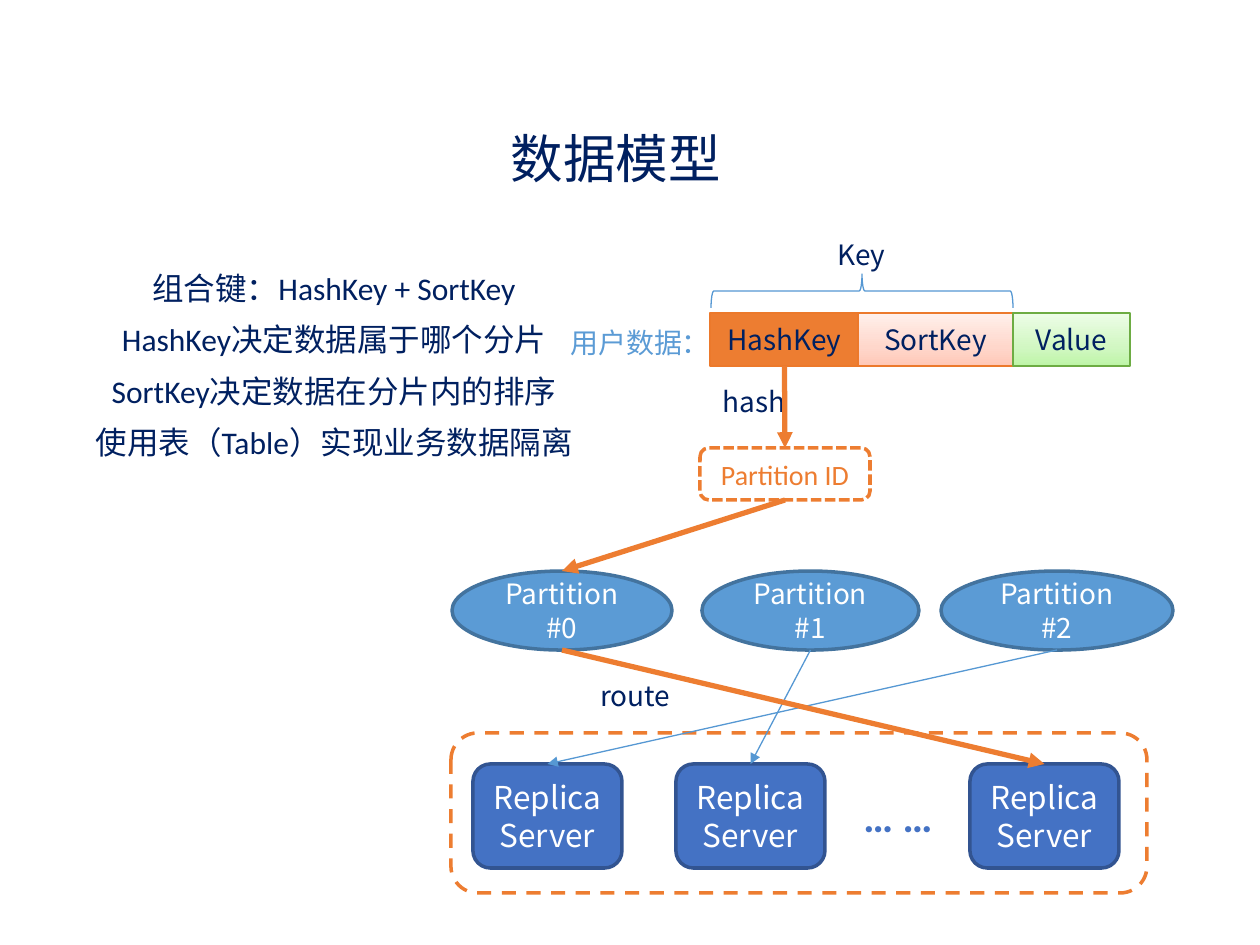
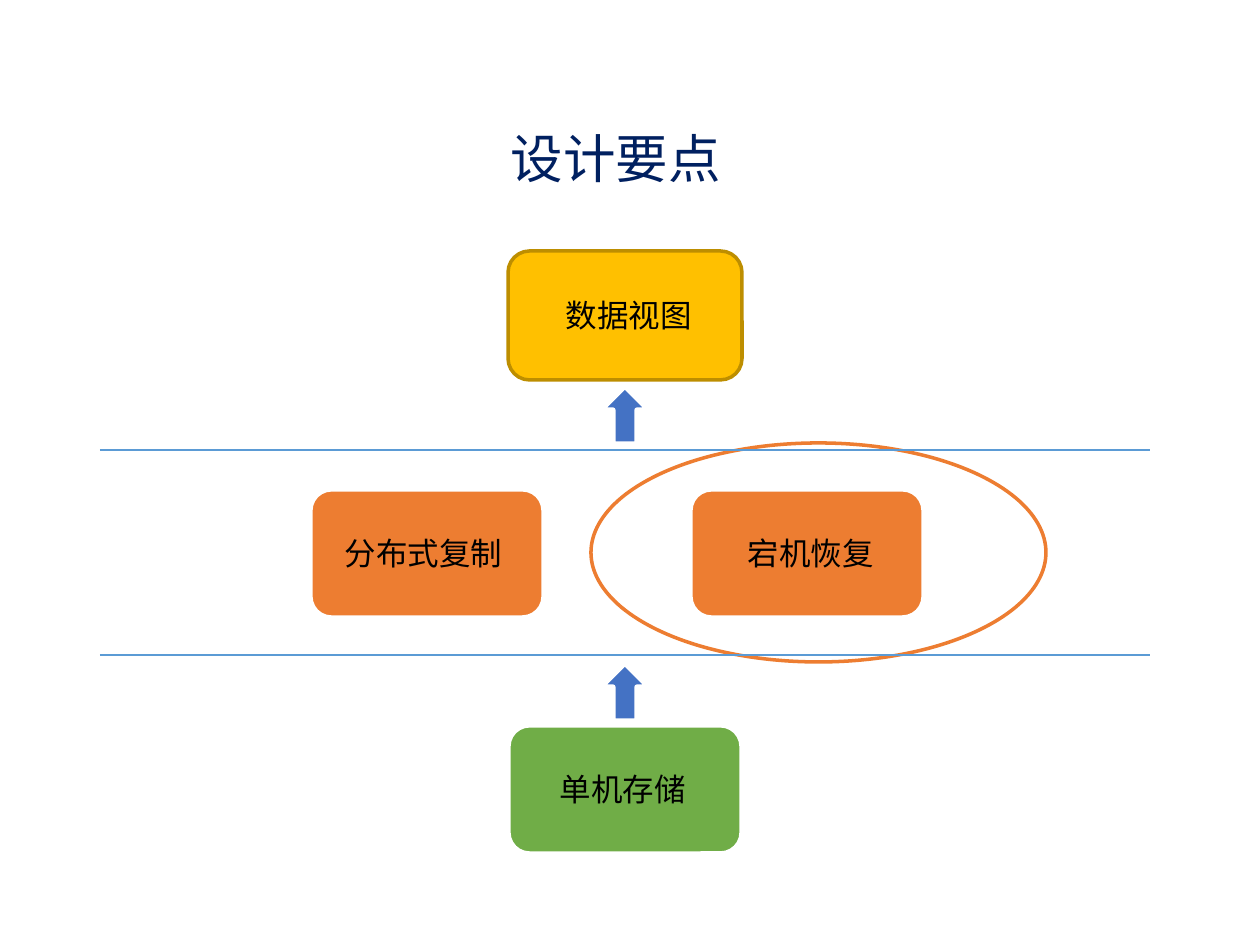
from copy import deepcopy

from pptx import Presentation
from pptx import util as u
from pptx.dml.color import RGBColor
from pptx.enum import dml, shapes, text
from pptx.oxml.ns import qn
from pptx.oxml.xmlchemy import OxmlElement

EMU_PER_PX = 914400 / 126
CJK, LATIN = "Noto Sans CJK SC", "Calibri"
TOP, BOTTOM = 0, 2

NAVY = RGBColor(0x00, 0x20, 0x60)
WHITE = RGBColor(0xFF, 0xFF, 0xFF)
BLACK = RGBColor(0x00, 0x00, 0x00)
ORANGE = RGBColor(0xED, 0x7D, 0x31)
ORANGE_EDGE = RGBColor(0xEC, 0x79, 0x2B)
SKY = RGBColor(0x5B, 0x9B, 0xD5)
SKY_LINE = RGBColor(0x56, 0x98, 0xD3)
SKY_EDGE = RGBColor(0x43, 0x73, 0x9E)
BLUE = RGBColor(0x44, 0x72, 0xC4)
BLUE_EDGE = RGBColor(0x32, 0x54, 0x91)
GREEN = RGBColor(0x70, 0xAD, 0x47)
GREEN_EDGE = RGBColor(0x6D, 0xAC, 0x43)
GOLD = RGBColor(0xFF, 0xC0, 0x00)
GOLD_EDGE = RGBColor(0xBD, 0x8E, 0x00)
# Gradients run from bottom to top
PEACH_STOPS = ((0, RGBColor(0xFF, 0xC7, 0xB6)), (0.35, RGBColor(0xFF, 0xD7, 0xCB)),
               (1, RGBColor(0xFF, 0xF0, 0xEB)))
MINT_STOPS = ((0, RGBColor(0xBE, 0xF5, 0xA7)), (0.35, RGBColor(0xD1, 0xF7, 0xC2)),
              (1, RGBColor(0xED, 0xFD, 0xE7)))

KIND = shapes.MSO_SHAPE
DASH = dml.MSO_LINE
CENTER, LEFT = text.PP_ALIGN.CENTER, text.PP_ALIGN.LEFT


def px(value):
    return u.Emu(round(value * EMU_PER_PX))


def write(shape, wording, size, color, font=CJK, align=CENTER, inset=None, bold=False):
    """Fill a shape with one paragraph per line of wording."""
    frame = shape.text_frame
    frame.text = wording
    frame.word_wrap = True
    if inset is not None:
        frame.margin_left = frame.margin_right = px(inset)
        frame.margin_top = frame.margin_bottom = px(inset)
    for paragraph in frame.paragraphs:
        paragraph.alignment = align
        for run in paragraph.runs:
            run.font.name, run.font.size, run.font.bold = font, u.Pt(size), bold
            run.font.color.rgb = color
            east_asian = OxmlElement("a:ea")
            east_asian.set("typeface", CJK)
            run.font._element.find(qn("a:latin")).addnext(east_asian)


def add_label(slide, box, wording, size=16, color=NAVY, **style):
    label = slide.shapes.add_textbox(*map(px, box))
    write(label, wording, size, color, **{"align": LEFT, **style})
    return label


def add_title(slide, wording):
    add_label(slide, (93, 120, 1046, 77), wording, 30, align=CENTER, inset=6)


def add_block(slide, kind, box, fill, edge, width, dash=None):
    block = slide.shapes.add_shape(kind, *map(px, box))
    block.shadow.inherit = False
    if fill is None:
        block.fill.background()
    elif isinstance(fill, RGBColor):
        block.fill.solid()
        block.fill.fore_color.rgb = fill
    else:
        paint_gradient(block, fill)
    block.line.color.rgb = edge
    block.line.width = u.Pt(width)
    if dash:
        block.line.dash_style = dash
    block.text_frame.vertical_anchor = text.MSO_ANCHOR.MIDDLE
    return block


def paint_gradient(block, stops):
    block.fill.gradient()
    block.fill.gradient_angle = 90
    stop_list = block._element.spPr.find(qn("a:gradFill")).find(qn("a:gsLst"))
    stop_list.insert(1, deepcopy(stop_list[0]))
    for stop, (position, color) in zip(block.fill.gradient_stops, stops):
        stop.position = position
        stop.color.rgb = color


def add_line(slide, start, end, color, width, arrow=False):
    line = slide.shapes.add_connector(shapes.MSO_CONNECTOR.STRAIGHT,
                                      *map(px, (*start, *end)))
    line.line.color.rgb = color
    line.line.width = u.Pt(width)
    if arrow:
        head = OxmlElement("a:tailEnd")
        head.set("type", "triangle")
        line.line._get_or_add_ln().append(head)
    line._element.spPr.append(OxmlElement("a:effectLst"))
    return line


def build_data_model(slide):
    add_title(slide, "数据模型")

    # Key design points
    points = add_label(slide, (67, 267, 534, 213),
                       "组合键：HashKey + SortKey\nHashKey决定数据属于哪个分片\n"
                       "SortKey决定数据在分片内的排序\n使用表（Table）实现业务数据隔离",
                       18, font=LATIN, align=CENTER, inset=6)
    for paragraph in points.text_frame.paragraphs:
        paragraph.line_spacing = 0.9
        paragraph.space_before = u.Pt(10)

    # User record with its key brace
    add_label(slide, (558, 319, 179, 47), "用户数据：", color=SKY, font=LATIN)
    record = {}
    for name, left, width, fill, edge in (
            ("HashKey", 710, 149, ORANGE, ORANGE_EDGE),
            ("SortKey", 858, 155, PEACH_STOPS, ORANGE_EDGE),
            ("Value", 1013, 117, MINT_STOPS, GREEN_EDGE)):
        record[name] = add_block(slide, KIND.RECTANGLE, (left, 313, width, 53),
                                 fill, edge, 0.75)
        write(record[name], name, 16, NAVY)
    brace = add_block(slide, KIND.LEFT_BRACE, (845, 140, 34, 302), None, SKY_LINE, 0.75)
    brace.rotation = 90
    add_label(slide, (825, 231, 88, 47), "Key")

    # Hash step
    add_label(slide, (710, 378, 120, 47), "hash")
    partition_id = add_block(slide, KIND.ROUNDED_RECTANGLE, (700, 448, 170, 52),
                             WHITE, ORANGE, 2, DASH.SQUARE_DOT)
    write(partition_id, "Partition ID", 16, ORANGE, font=LATIN, inset=6)
    hashing = add_line(slide, (785, 366), (785, 448), ORANGE, 3, arrow=True)
    hashing.begin_connect(record["HashKey"], BOTTOM)
    hashing.end_connect(partition_id, TOP)

    # Replica servers
    add_block(slide, KIND.ROUNDED_RECTANGLE, (451, 733, 696, 160),
              WHITE, ORANGE, 2, DASH.DASH)
    servers = []
    for left in (473, 676, 970):
        server = add_block(slide, KIND.ROUNDED_RECTANGLE, (left, 764, 149, 104),
                           BLUE, BLUE_EDGE, 2)
        write(server, "Replica\nServer", 18, WHITE)
        servers.append(server)
    add_label(slide, (851, 784, 102, 63), "… …", 24, BLUE, font=LATIN, bold=True)

    # Partitions, each routed to one server
    ovals = ((452, 220, servers[2], ORANGE, 3),
             (702, 217, servers[1], SKY_LINE, 0.75),
             (941, 232, servers[0], SKY_LINE, 0.75))
    partitions = []
    for number, (left, width, *_) in enumerate(ovals):
        partition = add_block(slide, KIND.OVAL, (left, 571, width, 79), SKY, SKY_EDGE, 2)
        write(partition, f"Partition #{number}", 16, WHITE)
        partitions.append(partition)
    lookup = add_line(slide, (785, 500), (562, 571), ORANGE, 3, arrow=True)
    lookup.begin_connect(partition_id, BOTTOM)
    lookup.end_connect(partitions[0], TOP)
    for left, width, server, color, weight in reversed(ovals):
        route = add_line(slide, (left + width / 2, 650), (800, 764), color, weight, arrow=True)
        route.end_connect(server, TOP)
    add_label(slide, (588, 672, 120, 47), "route")


def build_design_points(slide):
    add_title(slide, "设计要点")

    # Highlight behind the recovery card
    add_block(slide, KIND.OVAL, (591, 443, 455, 219), WHITE, ORANGE, 2)

    # Cards with their labels
    for wording, left, top, label_left, fill, edge, width in (
            ("分布式复制", 310, 489, 339, ORANGE, WHITE, 3),
            ("宕机恢复", 690, 489, 742, ORANGE, WHITE, 3),
            ("单机存储", 508, 725, 554, GREEN, WHITE, 3),
            ("数据视图", 508, 251, 560, GOLD, GOLD_EDGE, 2)):
        add_block(slide, KIND.ROUNDED_RECTANGLE, (left, top, 234, 129), fill, edge, width)
        add_label(slide, (label_left, top + 39, 176, 50), wording, 18, BLACK,
                  font=LATIN, inset=6)

    # Layer boundaries
    for y in (450, 655):
        add_line(slide, (100, y), (1150, y), SKY, 1)

    # Upward arrows between layers
    for top in (391, 668):
        arrow = add_block(slide, KIND.RIGHT_ARROW, (596, top, 58, 48), BLUE, WHITE, 3)
        arrow.rotation = 270


def main():
    deck = Presentation()
    deck.slide_width, deck.slide_height = px(1260), px(945)
    blank = deck.slide_layouts[6]
    for build in (build_data_model, build_design_points):
        build(deck.slides.add_slide(blank))
    deck.save("out.pptx")


if __name__ == "__main__":
    main()
